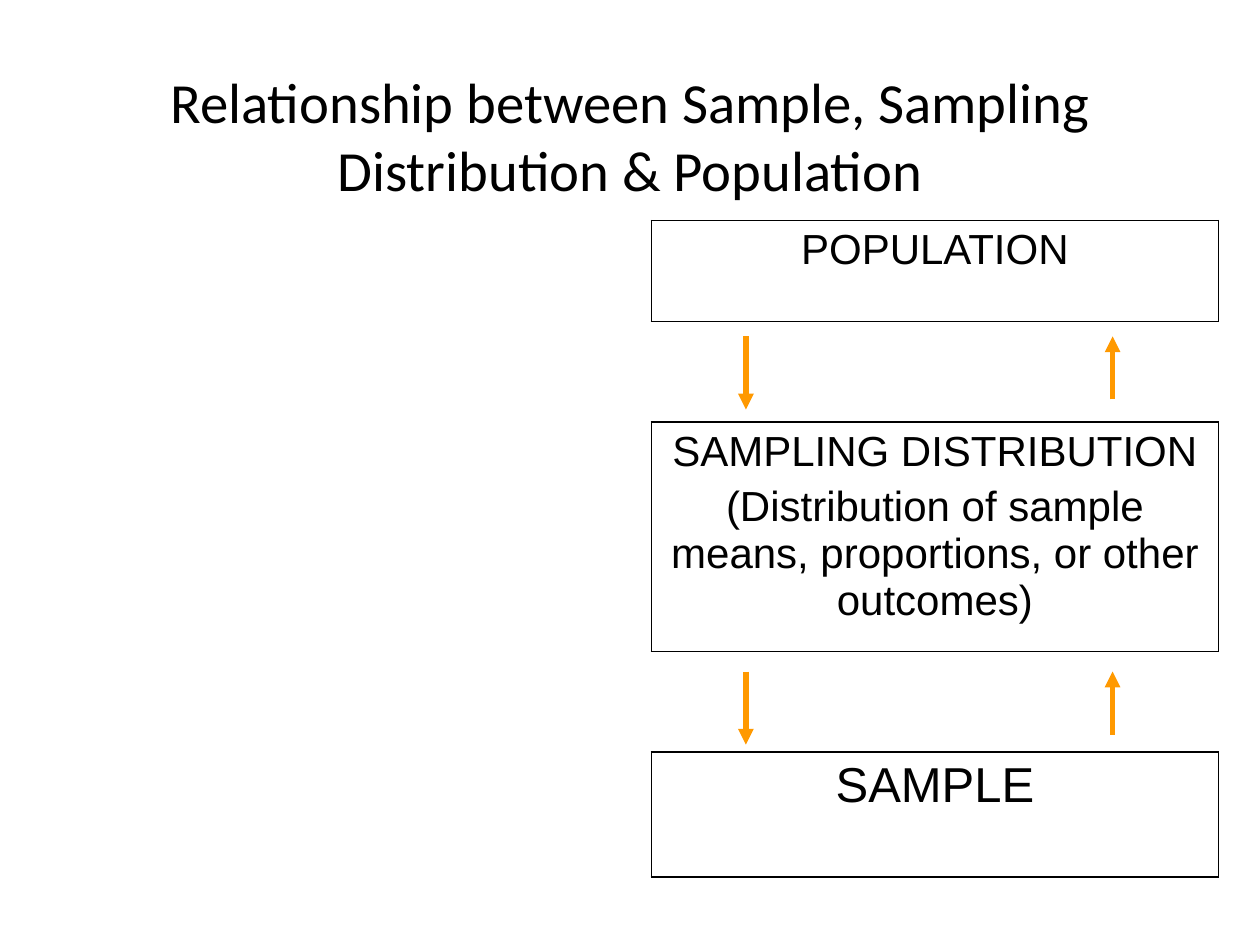
from lxml import etree
from pptx import Presentation
from pptx.dml.color import RGBColor
from pptx.enum.shapes import MSO_CONNECTOR
from pptx.enum.text import MSO_ANCHOR, PP_ALIGN
from pptx.oxml.ns import qn
from pptx.util import Inches, Pt

CENTER = PP_ALIGN.CENTER
MIDDLE = MSO_ANCHOR.MIDDLE
STRAIGHT = MSO_CONNECTOR.STRAIGHT
BLACK, ORANGE = "000000", "FF9900"


def rgb(color):
    return RGBColor.from_string(color)


def format_paragraph(p, font, size):
    p.alignment = CENTER
    for r in p.runs:
        r.font.name = font
        r.font.size = Pt(size)
        r.font.color.rgb = rgb(BLACK)


prs = Presentation()
prs.slide_width, prs.slide_height = Inches(10), Inches(7.5)
s = prs.slides.add_slide(prs.slide_layouts[5])

# Title
title = s.shapes.title
title.left, title.top = Inches(0.5), Inches(0.5)
title.width, title.height = Inches(9), Inches(1.14)
tf = title.text_frame
tf.text = "Relationship between Sample, Sampling Distribution & Population"
tf.vertical_anchor = MIDDLE
format_paragraph(tf.paragraphs[0], "Calibri", 32.4)

# Table: boxed levels separated by open rows
rows = [
    (0.8, 24, "POPULATION"),
    (0.8, 24, ""),
    (1.82, 24, "SAMPLING DISTRIBUTION\n"
               "(Distribution of sample means, proportions, or other outcomes)"),
    (0.8, 24, ""),
    (0.99, 28, "SAMPLE"),
]
table = s.shapes.add_table(len(rows), 1, Inches(5.17), Inches(1.75),
                           Inches(4.5), Inches(5.21)).table
table.first_row = False
table.horz_banding = False
for i, (height, size, text) in enumerate(rows):
    table.rows[i].height = Inches(height)
    cell = table.cell(i, 0)
    cell.text = text
    for p in cell.text_frame.paragraphs:
        format_paragraph(p, "Arial", size)
        p.space_before = Pt(size * 0.2)
    # Open rows keep only the top and bottom borders
    tcPr = cell._tc.get_or_add_tcPr()
    for side in ("lnL", "lnR", "lnT", "lnB"):
        ln = etree.SubElement(tcPr, qn("a:" + side), w=str(Pt(1)))
        if text or side in ("lnT", "lnB"):
            fill = etree.SubElement(ln, qn("a:solidFill"))
            etree.SubElement(fill, qn("a:srgbClr"), val=BLACK)
        else:
            etree.SubElement(ln, qn("a:noFill"))
    cell.fill.background()

# Arrows down and up between the levels
for top in (2.67, 5.33):
    for x, y1, y2 in ((5.92, top, top + 0.58), (8.83, top + 0.5, top)):
        arrow = s.shapes.add_connector(STRAIGHT, Inches(x), Inches(y1),
                                       Inches(x), Inches(y2))
        arrow.line.color.rgb = rgb(ORANGE)
        arrow.line.width = Pt(3)
        etree.SubElement(arrow.line._get_or_add_ln(), qn("a:tailEnd"), type="triangle")
        etree.SubElement(arrow._element.spPr, qn("a:effectLst"))

prs.save("out.pptx")
